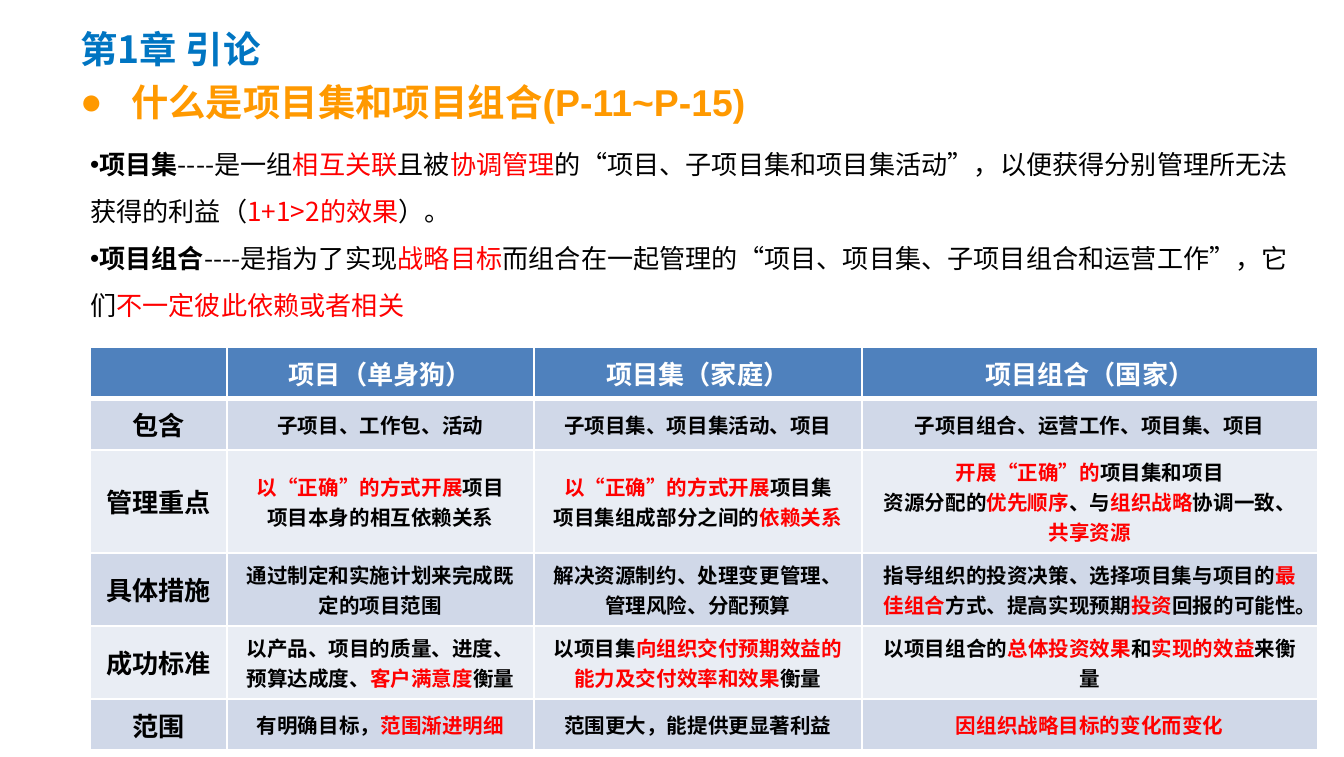
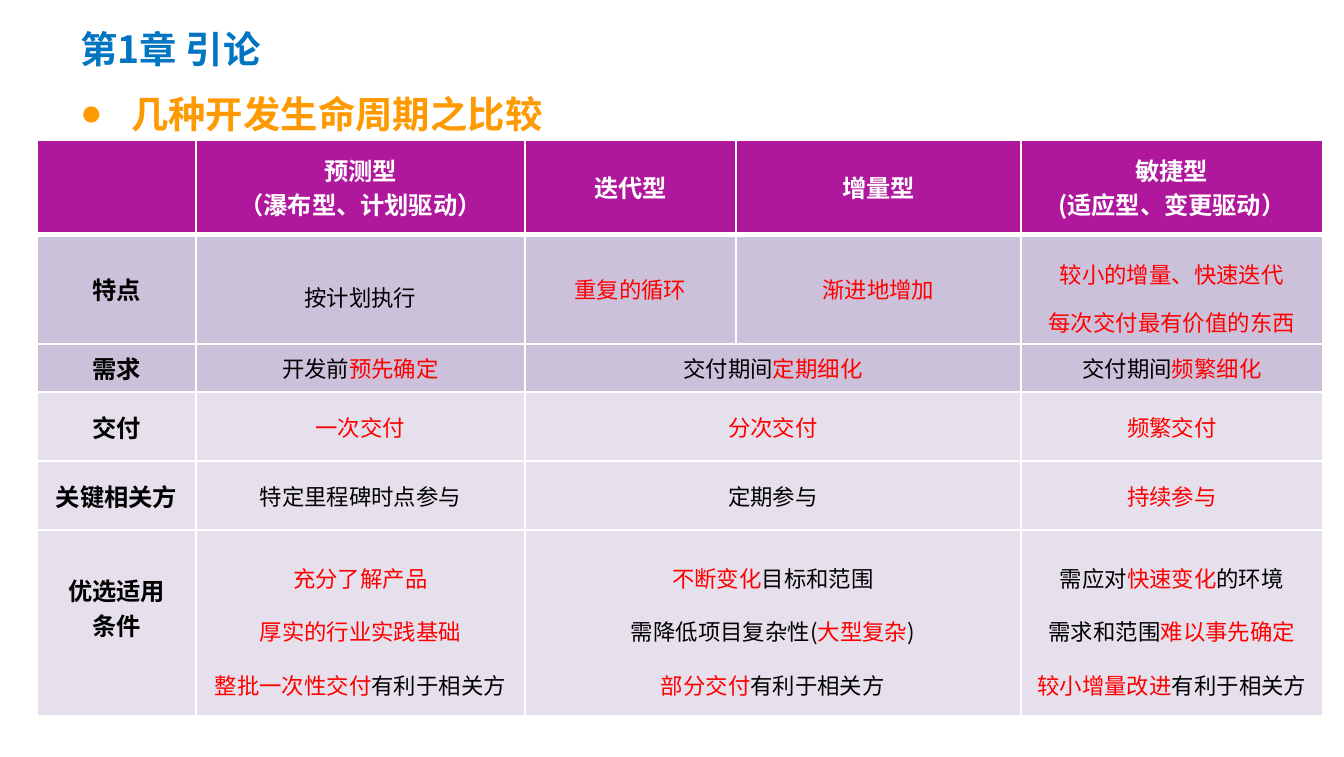
from dataclasses import dataclass
from typing import Optional

from lxml.etree import SubElement
from pptx import Presentation
from pptx.dml.color import RGBColor
from pptx.enum.text import MSO_ANCHOR as Anchor, PP_ALIGN as Align
from pptx.oxml import parse_xml
from pptx.oxml.ns import nsdecls, qn
from pptx.util import Emu, Inches, Pt

EMU_PER_PIXEL = 914400 / 134.4


def px(pixels: float) -> Emu:
    return Emu(round(pixels * EMU_PER_PIXEL))


@dataclass(frozen=True)
class Theme:
    chapter: str = "0075C2"
    topic: str = "FF9900"
    ink: str = "000000"
    emphasis: str = "FF0000"
    white: str = "FFFFFF"
    cjk: str = "Noto Sans CJK SC"
    topic_font: str = "Arial"
    heading_size: int = 20
    definition_size: int = 14
    grid_line: int = 1
    header_line: int = 3


@dataclass(frozen=True)
class Box:
    left: int
    top: int
    width: int
    height: int


@dataclass(frozen=True)
class Style:
    font: str
    size: int
    color: str
    bold: bool


@dataclass(frozen=True)
class Entry:
    text: str
    line_spacing: float = 1.0
    space_before: float = 0
    bottom_inset: int = 7


@dataclass(frozen=True)
class Definition:
    term: str
    meaning: str


@dataclass(frozen=True)
class Comparison:
    box: Box
    columns: list[int]
    heights: list[int]
    fills: list[str]
    font: str
    label_size: int
    detail_size: int
    detail_bold: bool
    rows: list[list[Optional[Entry]]]


THEME = Theme()
CHAPTER_BOX = Box(67, 19, 922, 52)
BULLET_INDENT = 51


def add_run(paragraph, text: str, style: Style) -> None:
    run = paragraph.add_run()
    run.text = text
    run.font.name = style.font
    run.font.size = Pt(style.size)
    run.font.bold = style.bold
    run.font.color.rgb = RGBColor.from_string(style.color)
    east_asian = parse_xml(f'<a:ea {nsdecls("a")} typeface="{THEME.cjk}"/>')
    run.font._element.find(qn("a:latin")).addnext(east_asian)


def add_marked_text(paragraph, text: str, style: Style) -> None:
    for index, part in enumerate(text.split("|")):
        color = THEME.emphasis if index % 2 else style.color
        if part:
            add_run(paragraph, part, Style(style.font, style.size, color, style.bold))


def set_bullet(paragraph, mark: str, indent: int) -> None:
    properties = paragraph._p.get_or_add_pPr()
    properties.set("marL", str(px(indent)))
    properties.set("indent", str(-px(indent)))
    SubElement(properties, qn("a:buFont")).set("typeface", THEME.topic_font)
    SubElement(properties, qn("a:buChar")).set("char", mark)


def add_text_frame(slide, box: Box):
    frame = slide.shapes.add_textbox(
        px(box.left), px(box.top), px(box.width), px(box.height)).text_frame
    frame.word_wrap = True
    return frame


def add_headed_slide(deck, topic: str, topic_top: int):
    slide = deck.slides.add_slide(deck.slide_layouts[5])
    title = slide.shapes.title
    title.left, title.top = px(CHAPTER_BOX.left), px(CHAPTER_BOX.top)
    title.width, title.height = px(CHAPTER_BOX.width), px(CHAPTER_BOX.height)
    title.text_frame.vertical_anchor = Anchor.MIDDLE
    title.text_frame.margin_top = px(13)
    heading = title.text_frame.paragraphs[0]
    heading.alignment = Align.LEFT
    add_run(heading, "第1章 引论",
            Style(THEME.cjk, THEME.heading_size, THEME.chapter, True))

    frame = add_text_frame(slide, Box(CHAPTER_BOX.left, topic_top, CHAPTER_BOX.width, 40))
    frame.vertical_anchor = Anchor.MIDDLE
    set_bullet(frame.paragraphs[0], "●", BULLET_INDENT)
    add_run(frame.paragraphs[0], topic,
            Style(THEME.topic_font, THEME.heading_size, THEME.topic, True))
    return slide


def add_definitions(slide, box: Box, definitions: list[Definition]) -> None:
    frame = add_text_frame(slide, box)
    for index, definition in enumerate(definitions):
        paragraph = frame.add_paragraph() if index else frame.paragraphs[0]
        paragraph.line_spacing = 1.5
        set_bullet(paragraph, "•", 0)
        size = THEME.definition_size
        add_run(paragraph, definition.term, Style(THEME.cjk, size, THEME.ink, True))
        add_marked_text(paragraph, definition.meaning,
                        Style(THEME.cjk, size, THEME.ink, False))


def set_borders(cell, top: int, bottom: int) -> None:
    thin = THEME.grid_line
    sides = {"lnL": thin, "lnR": thin, "lnT": top, "lnB": bottom}
    for position, (side, points) in enumerate(sides.items()):
        cell._tc.get_or_add_tcPr().insert(position, parse_xml(
            f'<a:{side} {nsdecls("a")} w="{Pt(points)}"><a:solidFill>'
            f'<a:srgbClr val="{THEME.white}"/></a:solidFill></a:{side}>'))


def fill_cell(cell, entry: Entry, style: Style) -> None:
    cell.vertical_anchor = Anchor.MIDDLE
    cell.margin_bottom = px(entry.bottom_inset)
    for index, line in enumerate(entry.text.split("\n")):
        frame = cell.text_frame
        paragraph = frame.add_paragraph() if index else frame.paragraphs[0]
        paragraph.alignment = Align.CENTER
        paragraph.line_spacing = entry.line_spacing
        paragraph.space_before = Pt(entry.space_before)
        add_marked_text(paragraph, line, style)
        if not line:
            ending = SubElement(paragraph._p, qn("a:endParaRPr"))
            ending.set("sz", str(style.size * 100))


def add_comparison(slide, plan: Comparison) -> None:
    box = plan.box
    holder = slide.shapes.add_table(
        len(plan.rows), len(plan.columns),
        px(box.left), px(box.top), px(box.width), px(box.height))
    table = holder.table
    table.horz_banding = False
    for column, width in zip(table.columns, plan.columns):
        column.width = px(width)
    for row, height in zip(table.rows, plan.heights):
        row.height = px(height)

    for r, entries in enumerate(plan.rows):
        for c, entry in enumerate(entries):
            cell = table.cell(r, c)
            set_borders(cell,
                        THEME.header_line if r == 1 else THEME.grid_line,
                        THEME.header_line if r == 0 else THEME.grid_line)
            cell.fill.solid()
            cell.fill.fore_color.rgb = RGBColor.from_string(plan.fills[r])
            if entry is None:
                table.cell(r, c - 1).merge(cell)
                continue
            is_label = r == 0 or c == 0
            fill_cell(cell, entry, Style(
                plan.font,
                plan.label_size if is_label else plan.detail_size,
                THEME.white if r == 0 else THEME.ink,
                is_label or plan.detail_bold))


def entries(*texts: Optional[str]) -> list[Optional[Entry]]:
    return [None if text is None else Entry(text) for text in texts]


def loose(text: str, space_before: float = 0) -> Entry:
    return Entry(text, 1.5, space_before)


DEFINITIONS = [
    Definition("项目集", "----是一组|相互关联|且被|协调管理|的“项目、子项目集和项目集活动”\uff0c"
               "以便获得分别管理所无法获得的利益\uff08|1+1>2的效果|\uff09。"),
    Definition("项目组合", "----是指为了实现|战略目标|而组合在一起管理的"
               "“项目、项目集、子项目组合和运营工作”\uff0c它们|不一定彼此依赖或者相关|"),
]

SCOPE_LEVELS = Comparison(
    box=Box(90, 347, 1228, 403),
    columns=[137, 307, 328, 456],
    heights=[51, 52, 103, 73, 73, 51],
    fills=["4F81BD"] + ["D0D8E8", "E9EDF4"] * 2 + ["D0D8E8"],
    font="Calibri", label_size=14, detail_size=11, detail_bold=True,
    rows=[
        entries("", "项目\uff08单身狗\uff09", "项目集\uff08家庭\uff09",
                "项目组合\uff08国家\uff09"),
        entries("包含", "子项目、工作包、活动", "子项目集、项目集活动、项目",
                "子项目组合、运营工作、项目集、项目"),
        entries("管理重点",
                "|以“正确”的方式开展|项目\n项目本身的相互依赖关系",
                "|以“正确”的方式开展|项目集\n项目集组成部分之间的|依赖关系|",
                "|开展“正确”的|项目集和项目\n"
                "资源分配的|优先顺序|、与|组织战略|协调一致、|共享资源|"),
        entries("具体措施", "通过制定和实施计划来完成既定的项目范围",
                "解决资源制约、处理变更管理、管理风险、分配预算",
                "指导组织的投资决策、选择项目集与项目的|最佳组合|"
                "方式、提高实现预期|投资|回报的可能性。"),
        entries("成功标准", "以产品、项目的质量、进度、预算达成度、|客户满意度|衡量",
                "以项目集|向组织交付预期效益的能力及交付效率和效果|衡量",
                "以项目组合的|总体投资效果|和|实现的效益|来衡量"),
        entries("范围", "有明确目标\uff0c|范围渐进明细|",
                "范围更大\uff0c能提供更显著利益",
                "|因组织战略目标的变化而变化|"),
    ])

LIFE_CYCLES = Comparison(
    box=Box(37, 140, 1286, 576),
    columns=[159, 329, 211, 285, 302],
    heights=[94, 110, 48, 69, 69, 186],
    fills=["AF179D"] + ["CCC1DA"] * 2 + ["E6E0EC"] * 3,
    font=THEME.cjk, label_size=13, detail_size=12, detail_bold=False,
    rows=[
        entries("", "预测型\n\uff08瀑布型、计划驱动\uff09", "迭代型", "增量型",
                "敏捷型\n(适应型、变更驱动\uff09"),
        [Entry("特点"), loose("按计划执行"), Entry("|重复的循环|"), Entry("|渐进地增加|"),
         loose("|较小的增量、快速迭代|\n|每次交付最有价值的东西|")],
        entries("需求", "开发前|预先确定|", "交付期间|定期细化|", None, "交付期间|频繁细化|"),
        entries("交付", "|一次交付|", "|分次交付|", None, "|频繁交付|"),
        entries("关键相关方", "特定里程碑时点参与", "定期参与", None, "|持续参与|"),
        [Entry("优选适用\n条件", bottom_inset=39),
         loose("|充分了解产品|\n|厚实的行业实践基础|\n|整批一次性交付|有利于相关方", 2.4),
         loose("|不断变化|目标和范围\n需降低项目复杂性(|大型复杂|)\n"
               "|部分交付|有利于相关方", 2.4),
         None,
         loose("需应对|快速变化|的环境\n需求和范围|难以事先确定|\n"
               "|较小增量改进|有利于相关方", 2.4)],
    ])

deck = Presentation()
deck.slide_width, deck.slide_height = Inches(10), Inches(5.63)

scope_slide = add_headed_slide(deck, "什么是项目集和项目组合(P-11~P-15)", 82)
add_definitions(scope_slide, Box(77, 126, 1231, 241), DEFINITIONS)
add_comparison(scope_slide, SCOPE_LEVELS)

cycle_slide = add_headed_slide(deck, "几种开发生命周期之比较", 93)
add_comparison(cycle_slide, LIFE_CYCLES)

deck.save("out.pptx")
